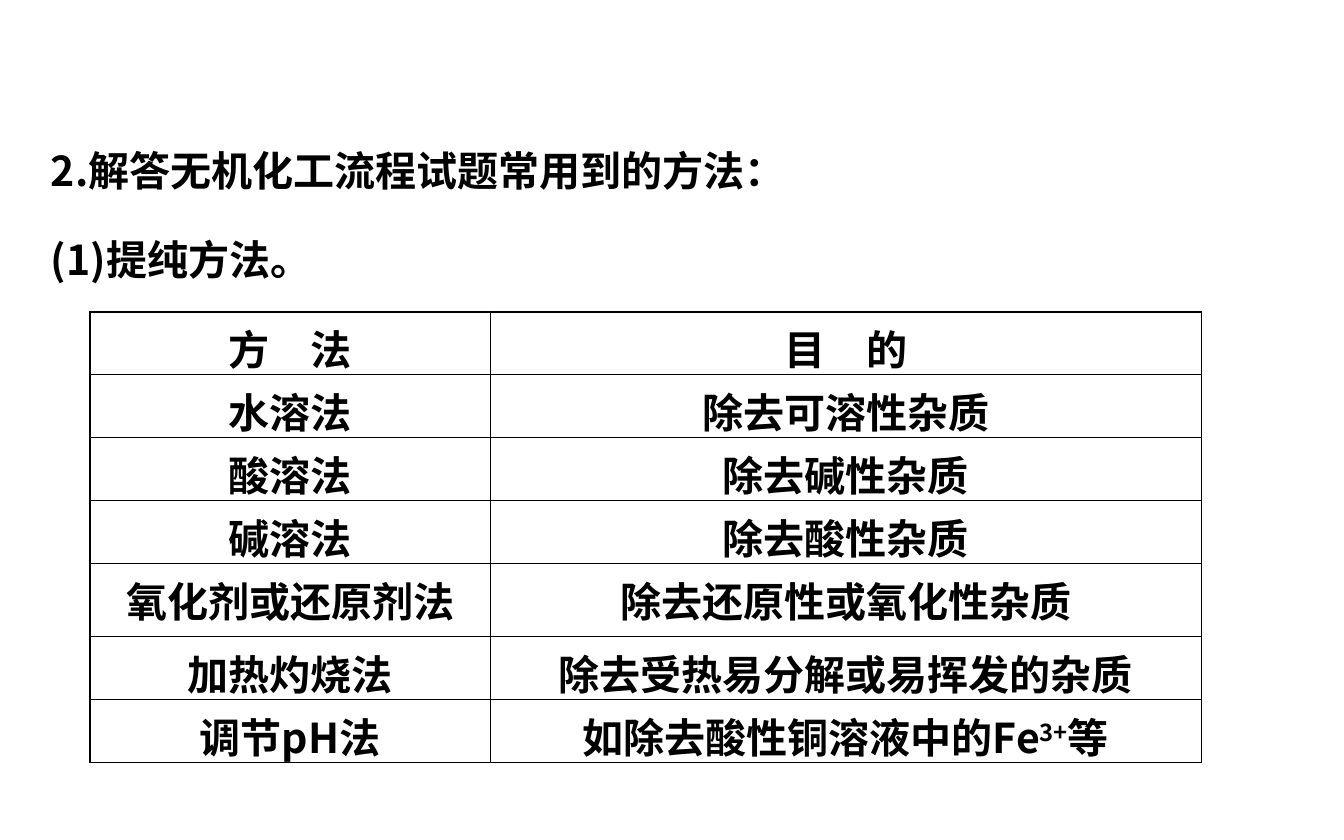
from pptx import Presentation
from pptx import util as u
from pptx.dml.color import RGBColor
from pptx.enum import text
from pptx.oxml import parse_xml
from pptx.oxml.ns import nsdecls, qn

BLACK = RGBColor(0, 0, 0)
THICK, THIN = 0.96, 0.45

HEADING = ["2.解答无机化工流程试题常用到的方法：", "(1)提纯方法。"]
METHODS = [
    ("方　法", "目　的"),
    ("水溶法", "除去可溶性杂质"),
    ("酸溶法", "除去碱性杂质"),
    ("碱溶法", "除去酸性杂质"),
    ("氧化剂或还原剂法", "除去还原性或氧化性杂质"),
    ("加热灼烧法", "除去受热易分解或易挥发的杂质"),
    ("调节pH法", "如除去酸性铜溶液中的Fe^3+^等"),
]
COLUMN_WIDTHS = [214.5, 381]
ROW_HEIGHTS = [33.75] * 4 + [39.1] + [33.75] * 2


class Page:
    def __init__(self, slide, font="Noto Sans CJK SC", size=22):
        self.slide, self.font, self.size = slide, font, size

    def fill_paragraph(self, paragraph, content):
        """Add styled runs; parts between carets are superscript."""
        for i, part in enumerate(content.split("^")):
            run = paragraph.add_run()
            run.text = part
            run.font.size, run.font.bold = u.Pt(self.size), True
            run.font.name = self.font
            run.font.color.rgb = BLACK
            properties = run._r.get_or_add_rPr()
            properties.find(qn("a:latin")).addnext(parse_xml(
                f'<a:ea {nsdecls("a")} typeface="{self.font}"/>'))
            if i % 2:
                properties.set("baseline", "30000")

    def text_box(self, left, top, width, height, lines, spacing):
        box = self.slide.shapes.add_textbox(
            u.Pt(left), u.Pt(top), u.Pt(width), u.Pt(height))
        frame = box.text_frame
        frame.word_wrap = True
        frame.auto_size = text.MSO_AUTO_SIZE.SHAPE_TO_FIT_TEXT
        for i, line in enumerate(lines):
            paragraph = frame.add_paragraph() if i else frame.paragraphs[0]
            paragraph.line_spacing = spacing
            self.fill_paragraph(paragraph, line)

    def border(self, cell, side, width):
        cell._tc.get_or_add_tcPr().append(parse_xml(
            f'<a:ln{side} {nsdecls("a")} w="{u.Pt(width)}"><a:solidFill>'
            f'<a:srgbClr val="{BLACK}"/></a:solidFill></a:ln{side}>'))

    def table(self, left, top, widths, heights, rows):
        """Draw a grid with a thicker outer frame."""
        last_row, last_column = len(heights) - 1, len(widths) - 1
        table = self.slide.shapes.add_table(
            len(heights), len(widths), u.Pt(left), u.Pt(top),
            u.Pt(sum(widths)), u.Pt(sum(heights))).table
        table.first_row = table.horz_banding = False
        for column, width in zip(table.columns, widths):
            column.width = u.Pt(width)
        for row, height in zip(table.rows, heights):
            row.height = u.Pt(height)
        for r, row in enumerate(rows):
            for c, content in enumerate(row):
                cell = table.cell(r, c)
                outer = {"L": c == 0, "R": c == last_column,
                         "T": r == 0, "B": r == last_row}
                for side, is_outer in outer.items():
                    self.border(cell, side, THICK if is_outer else THIN)
                cell.fill.background()
                paragraph = cell.text_frame.paragraphs[0]
                paragraph.alignment = text.PP_ALIGN.CENTER
                self.fill_paragraph(paragraph, content)


def main():
    deck = Presentation()
    deck.slide_width, deck.slide_height = u.Pt(720), u.Pt(450)
    page = Page(deck.slides.add_slide(deck.slide_layouts[6]))
    page.text_box(20.2, 53.3, 679, 102.2, HEADING, 1.8)
    page.table(48.2, 167, COLUMN_WIDTHS, ROW_HEIGHTS, METHODS)
    deck.save("out.pptx")


if __name__ == "__main__":
    main()
